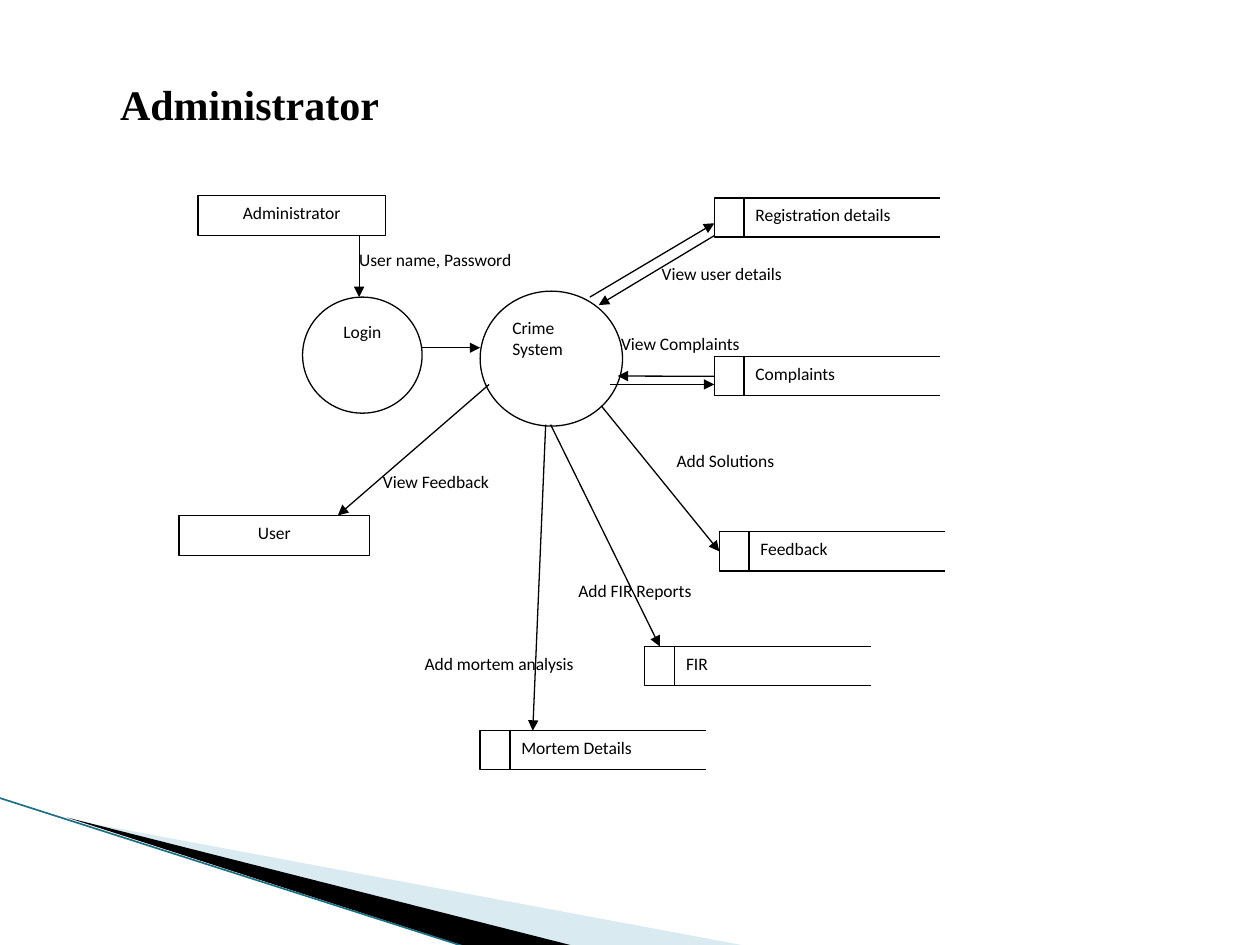
from lxml import etree
from pptx import Presentation
from pptx.dml.color import RGBColor
from pptx.enum import shapes as sh, text as tx
from pptx.oxml.ns import qn
from pptx.util import Cm, Pt

BLACK = RGBColor(0x00, 0x00, 0x00)
WHITE = RGBColor(0xFF, 0xFF, 0xFF)
PALE_BLUE = RGBColor(0xA0, 0xCB, 0xDC)
TEAL = RGBColor(0x1C, 0x70, 0x84)

RECT = sh.MSO_SHAPE.RECTANGLE
OVAL = sh.MSO_SHAPE.OVAL
LEFT, CENTER = tx.PP_ALIGN.LEFT, tx.PP_ALIGN.CENTER

# Content; every length is in centimetres
TITLE = "Administrator"
WEDGES = [  # corners, colour, opacity in percent
    ([(1.4, 16.52), (15.11, 19.08), (11.58, 19.08)], PALE_BLUE, 40),
    ([(1.35, 16.48), (11.61, 19.08), (9.45, 19.1)], BLACK, 100),
]
WEDGE_EDGE = (-0.03, 16.08, 9.42, 19.1)

FLOW_LABELS = [  # text, left, top
    ("Add FIR Reports", 11.43, 11.56),
    ("Add mortem analysis", 8.33, 13.03),
    ("View Complaints", 12.29, 6.58),
    ("View user details", 13.11, 5.18),
    ("View Feedback", 7.49, 9.37),
    ("User name, Password", 7.01, 4.9),
    ("Add Solutions", 13.41, 8.94),
]
LABEL_SIZE = (4.11, 0.71)

NODES = [  # text, shape, (left, top, width, height), alignment
    ("Crime System", OVAL, (9.68, 5.87, 2.87, 2.72), LEFT),
    ("Login", OVAL, (6.1, 5.99, 2.41, 2.34), CENTER),
    ("Administrator", RECT, (3.99, 3.94, 3.78, 0.81), CENTER),
    ("User", RECT, (3.61, 10.39, 3.84, 0.81), CENTER),
]

STORES = [  # text, left, top
    ("Registration details", 14.4, 3.99),
    ("Complaints", 14.4, 7.19),
    ("Feedback", 14.5, 10.72),
    ("FIR", 13.0, 13.03),
    ("Mortem Details", 9.68, 14.73),
]
KEY_WIDTH, BODY_WIDTH, STORE_HEIGHT = 0.6, 4.42, 0.79
COVER_OFFSET, COVER_WIDTH, COVER_OVERLAP = 4.57, 1.07, 0.18

ARROWS = [  # from x, y, to x, y, joins as (end, store, side)
    ((7.24, 4.75, 7.24, 5.99), None),
    ((8.51, 7.01, 9.68, 7.01), None),
    ((14.4, 4.75, 12.07, 6.15), None),
    ((11.89, 5.99, 14.4, 4.5), None),
    ((14.4, 7.58, 12.45, 7.58), ("begin", "Complaints", 1)),
    ((12.29, 7.75, 14.4, 7.75), None),
    ((12.12, 8.18, 14.5, 11.11), ("end", "Feedback", 1)),
    ((9.86, 7.75, 6.81, 10.39), None),
    ((11.1, 8.56, 13.3, 13.03), ("end", "FIR", 0)),
    ((11.0, 8.56, 10.74, 14.73), None),
]


def set_all(target, values):
    for name, value in values.items():
        setattr(target, name, value)


def add_block(slide, kind, box, line_color, words="", align=LEFT):
    block = slide.shapes.add_shape(kind, *map(Cm, box))
    block.shadow.inherit = False
    block.fill.solid()
    block.fill.fore_color.rgb = WHITE
    block.line.color.rgb = line_color
    block.line.width = Pt(0.75)
    if words:
        frame = block.text_frame
        set_all(frame, dict(
            word_wrap=True, vertical_anchor=tx.MSO_ANCHOR.TOP,
            margin_left=Cm(0.23), margin_right=Cm(0.23),
            margin_top=Cm(0.13), margin_bottom=Cm(0.13)))
        frame.text = words
        paragraph = frame.paragraphs[0]
        paragraph.alignment = align
        set_all(paragraph.runs[0].font, dict(name="Calibri", size=Pt(10)))
        paragraph.runs[0].font.color.rgb = BLACK
    return block


def add_line(slide, ends, color, width, arrow=False):
    line = slide.shapes.add_connector(sh.MSO_CONNECTOR.STRAIGHT, *map(Cm, ends))
    line.line.color.rgb = color
    line.line.width = Pt(width)
    if arrow:
        etree.SubElement(line.line._get_or_add_ln(), qn("a:tailEnd"), type="triangle")
    etree.SubElement(line._element.spPr, qn("a:effectLst"))
    return line


def add_wedge(slide, corners, color, opacity):
    points = [(Cm(x), Cm(y)) for x, y in corners]
    builder = slide.shapes.build_freeform(*points[0], scale=1.0)
    builder.add_line_segments(points[1:], close=True)
    wedge = builder.convert_to_shape()
    wedge.shadow.inherit = False
    wedge.fill.solid()
    wedge.fill.fore_color.rgb = color
    wedge.line.fill.background()
    if opacity < 100:
        tint = wedge._element.spPr.find(qn("a:solidFill"))[0]
        etree.SubElement(tint, qn("a:alpha"), val=str(opacity * 1000))


def add_store(slide, words, left, top):
    """A data store: key cell and body, open on the right."""
    add_block(slide, RECT, (left + KEY_WIDTH, top, BODY_WIDTH, STORE_HEIGHT), BLACK, words)
    key = add_block(slide, RECT, (left, top, KEY_WIDTH, STORE_HEIGHT), BLACK)
    add_block(slide, RECT, (left + COVER_OFFSET, top - COVER_OVERLAP, COVER_WIDTH,
                            STORE_HEIGHT + 2 * COVER_OVERLAP), WHITE)
    return key


def main():
    deck = Presentation()
    set_all(deck, dict(slide_width=Cm(25.4), slide_height=Cm(19.05)))
    slide = deck.slides.add_slide(deck.slide_layouts[5])

    # Corner decoration
    for wedge in WEDGES:
        add_wedge(slide, *wedge)
    add_line(slide, WEDGE_EDGE, TEAL, 0.95)

    # Title
    title = slide.shapes.title
    set_all(title, dict(left=Cm(2.01), top=Cm(0.94), width=Cm(5.94), height=Cm(2.31)))
    title.text = TITLE
    set_all(title.text_frame, dict(
        word_wrap=True, auto_size=tx.MSO_AUTO_SIZE.NONE,
        vertical_anchor=tx.MSO_ANCHOR.MIDDLE, margin_left=Cm(0.41), margin_right=0))
    heading = title.text_frame.paragraphs[0]
    heading.alignment = LEFT
    set_all(heading.runs[0].font, dict(name="Times New Roman", size=Pt(24), bold=True))
    heading.runs[0].font.color.rgb = BLACK

    # Flow labels, nodes and data stores
    for words, left, top in FLOW_LABELS:
        add_block(slide, RECT, (left, top, *LABEL_SIZE), WHITE, words)
    for words, kind, box, align in NODES:
        add_block(slide, kind, box, BLACK, words, align)
    keys = {store[0]: add_store(slide, *store) for store in STORES}

    # Arrows
    for ends, join in ARROWS:
        arrow = add_line(slide, ends, BLACK, 0.75, arrow=True)
        if join:
            end, store, side = join
            connect = arrow.begin_connect if end == "begin" else arrow.end_connect
            connect(keys[store], side)

    deck.save("out.pptx")


if __name__ == "__main__":
    main()
